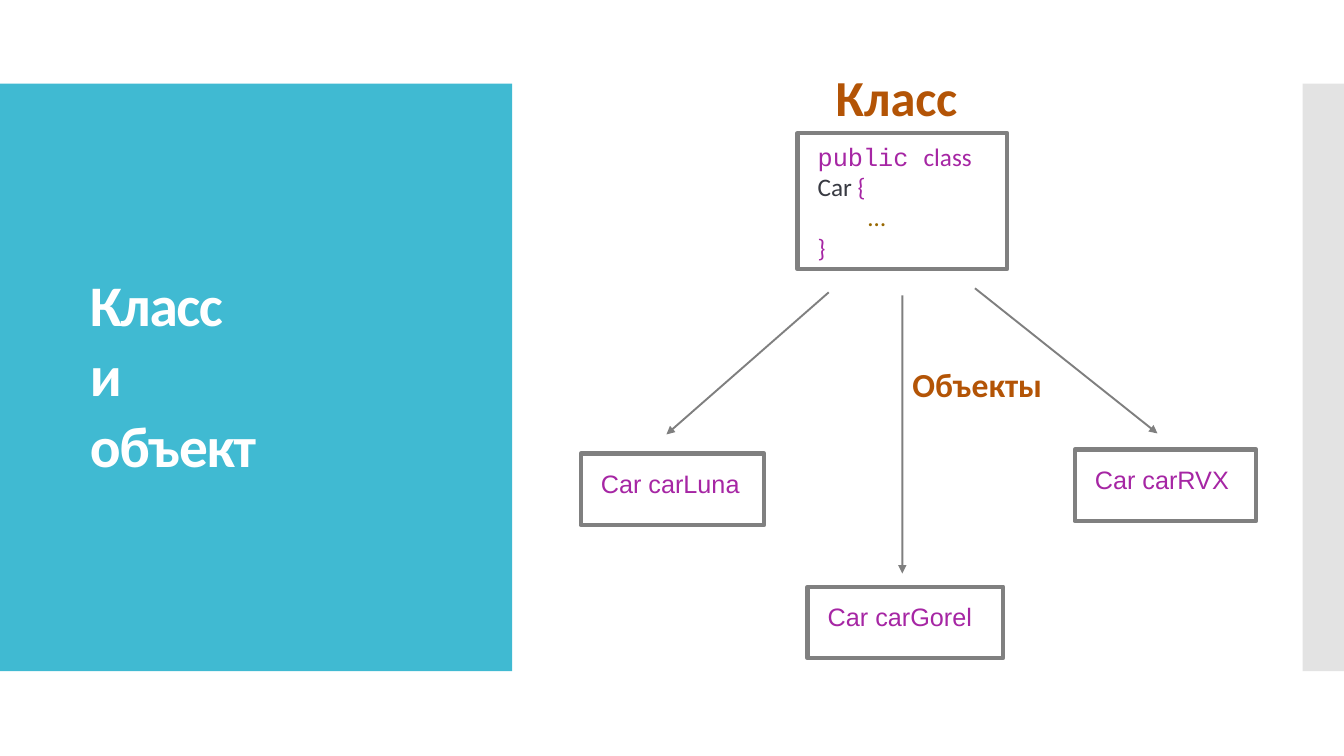
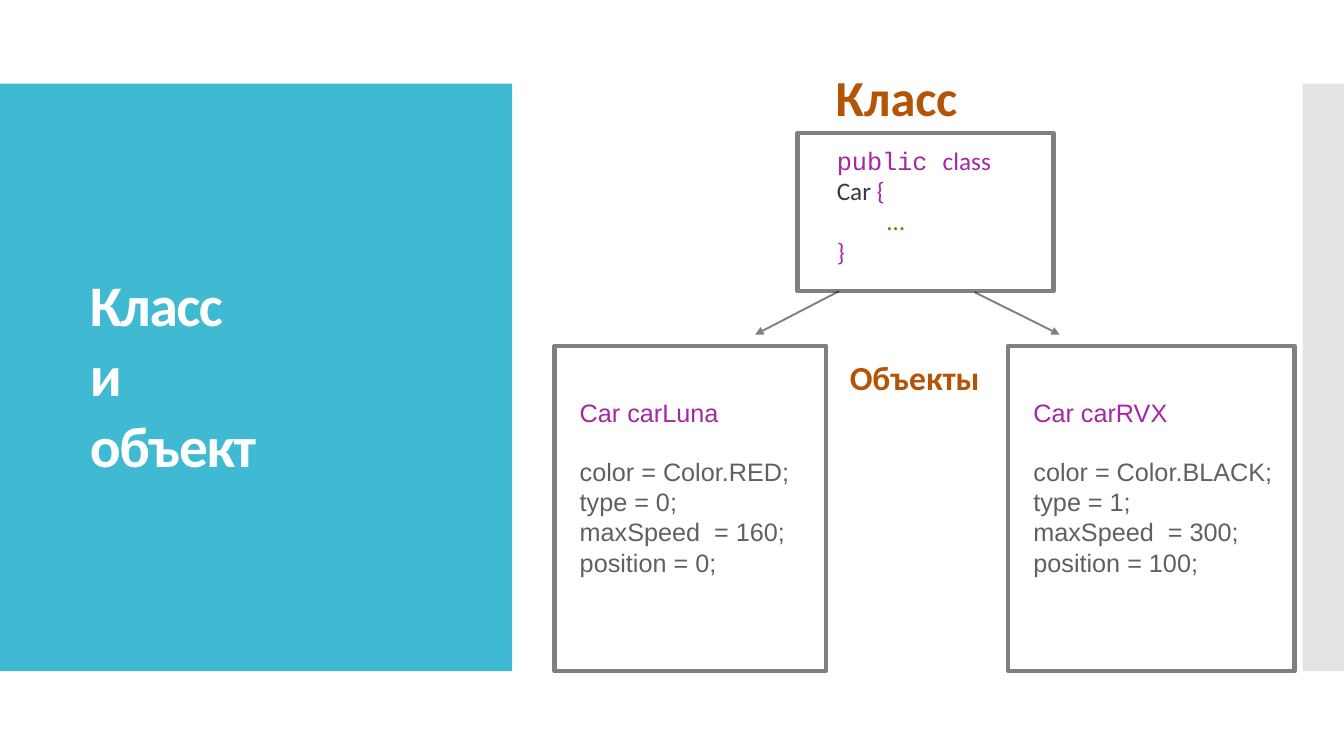
import pptx
import pptx.util
import pptx.dml.color
import pptx.enum.shapes
import pptx.enum.text
import pptx.oxml
import pptx.oxml.ns

Inches = pptx.util.Inches
Points = pptx.util.Pt
Anchor = pptx.enum.text.MSO_ANCHOR
Align = pptx.enum.text.PP_ALIGN

COLOURS = {
    "teal": "40BAD2",
    "panel": "C8C8C8",
    "white": "FFFFFF",
    "heading": "B35406",
    "frame": "808080",
    "arrow": "000000",
    "keyword": "A626A4",
    "name": "383A42",
    "body": "986801",
    "field": "606060",
}
TITLE_FONT = {"name": "Calibri", "size": Points(41), "bold": True}
CODE_FONT = {"name": "Courier New", "size": Points(18)}
CLASS_FONT = {"name": "Calibri", "size": Points(18)}
OBJECT_FONT = {"name": "Arial", "size": Points(18)}
CLASS_CODE = [
    [("public ", "keyword", CODE_FONT), ("class", "keyword", CLASS_FONT),
     (" Car", "name", CLASS_FONT), (" {", "keyword", CLASS_FONT)],
    [("\t", "name", CLASS_FONT), ("…", "body", CLASS_FONT)],
    [("}", "keyword", CLASS_FONT)],
]
BAND_TOP, BAND_HEIGHT = 0.83, 5.83


def set_format(target, values):
    for name, value in values.items():
        setattr(target, name, value)


def rgb(colour):
    return pptx.dml.color.RGBColor.from_string(COLOURS[colour])


def make_half_transparent(element):
    for colour in element.iter(pptx.oxml.ns.qn("a:srgbClr")):
        colour.append(pptx.oxml.parse_xml(
            f'<a:alpha {pptx.oxml.ns.nsdecls("a")} val="50000"/>'))


def write_lines(text_frame, lines, para_format):
    for index, line in enumerate(lines):
        para = text_frame.paragraphs[0] if index == 0 else text_frame.add_paragraph()
        set_format(para, para_format)
        for text, colour, font in line:
            span = para.add_run()
            span.text = text
            set_format(span.font, font)
            span.font.color.rgb = rgb(colour)


def add_rectangle(page, box, fill=None):
    shape = page.shapes.add_shape(
        pptx.enum.shapes.MSO_SHAPE.RECTANGLE, *map(Inches, box))
    shape.shadow.inherit = False
    if fill:
        shape.fill.solid()
        shape.fill.fore_color.rgb = rgb(fill)
        shape.line.fill.background()
    else:
        shape.fill.background()
        shape.line.color.rgb = rgb("frame")
        shape.line.width = Points(3)
    return shape


def add_framed_text(page, box, lines, left, top, right):
    frame = add_rectangle(page, box)
    set_format(frame.text_frame, {
        "word_wrap": True,
        "vertical_anchor": Anchor.TOP,
        "margin_left": Inches(left),
        "margin_top": Inches(top),
        "margin_right": Inches(right),
        "margin_bottom": 0,
    })
    write_lines(frame.text_frame, lines, {"alignment": Align.LEFT})
    return frame


def add_object(page, box, name, fields=(), left=0.2, top=0.15, right=0.05):
    lines = [[(name, "keyword", OBJECT_FONT)]]
    lines += [[(field, "field", OBJECT_FONT)] for field in fields]
    frame = add_framed_text(page, box, lines, left, top, right)
    if fields:
        frame.text_frame.paragraphs[0].space_after = Points(20.7)


def add_label(page, box, text, size):
    label = page.shapes.add_textbox(*map(Inches, box))
    label.text_frame.word_wrap = True
    font = {"name": "Calibri", "size": Points(size), "bold": True}
    write_lines(label.text_frame, [[(text, "heading", font)]], {})


def add_arrow(page, start, end):
    arrow = page.shapes.add_connector(
        pptx.enum.shapes.MSO_CONNECTOR.STRAIGHT, *map(Inches, start + end))
    arrow.line.color.rgb = rgb("arrow")
    arrow.line.width = Points(1.35)
    namespace = pptx.oxml.ns.nsdecls("a")
    outline = arrow.line._get_or_add_ln()
    make_half_transparent(outline)
    outline.append(pptx.oxml.parse_xml(f'<a:tailEnd {namespace} type="triangle"/>'))
    outline.addnext(pptx.oxml.parse_xml(f'<a:effectLst {namespace}/>'))


def add_page(deck):
    page = deck.slides.add_slide(deck.slide_layouts[5])
    title = page.shapes.title
    title_band = add_rectangle(page, (0, BAND_TOP, 5.08, BAND_HEIGHT), "teal")
    edge_band = add_rectangle(page, (12.92, BAND_TOP, 0.41, BAND_HEIGHT), "panel")
    make_half_transparent(edge_band.element)
    for band in (title_band, edge_band):
        title.element.addprevious(band.element)
    set_format(title, {"left": Inches(0.79), "top": Inches(1.25),
                       "width": Inches(3.56), "height": Inches(3.56)})
    set_format(title.text_frame, {
        "vertical_anchor": Anchor.BOTTOM,
        "auto_size": pptx.enum.text.MSO_AUTO_SIZE.NONE,
        "word_wrap": True,
    })
    write_lines(
        title.text_frame,
        [[(word, "white", TITLE_FONT)] for word in ("Класс", "и", "объект")],
        {"alignment": Align.LEFT, "line_spacing": 0.9, "space_after": Points(6)})
    for properties in title.element.iter(pptx.oxml.ns.qn("a:rPr")):
        properties.set("spc", "-100")
    add_label(page, (8.19, 0.61, 1.49, 0.71), "Класс", 36)
    return page


def add_instances_page(deck):
    page = add_page(deck)
    add_framed_text(page, (7.91, 1.32, 2.08, 1.35), CLASS_CODE, 0.2, 0.08, 0.25)
    add_label(page, (8.95, 3.56, 1.54, 0.5), "Объекты", 24)
    for box, name in (
        ((5.76, 4.5, 1.82, 0.71), "Car carLuna"),
        ((8.01, 5.82, 1.94, 0.71), "Car carGorel"),
        ((10.66, 4.46, 1.8, 0.71), "Car carRVX"),
    ):
        add_object(page, box, name)
    for start, end in (
        ((8.22, 2.9), (6.61, 4.31)),
        ((8.95, 2.93), (8.95, 5.69)),
        ((9.67, 2.86), (11.48, 4.3)),
    ):
        add_arrow(page, start, end)


def add_fields_page(deck):
    page = add_page(deck)
    add_framed_text(page, (7.91, 1.32, 2.54, 1.57), CLASS_CODE, 0.39, 0.12, 0.52)
    add_label(page, (8.33, 3.49, 1.54, 0.5), "Объекты", 24)
    for left, width, name, values in (
        (5.5, 2.69, "Car carLuna", ("Color.RED", 0, 160, 0)),
        (10, 2.84, "Car carRVX", ("Color.BLACK", 1, 300, 100)),
    ):
        fields = [f"{field} = {value};" for field, value in
                  zip(("color", "type", "maxSpeed ", "position"), values)]
        add_object(page, (left, 3.43, width, 3.23), name, fields, 0.25, 0.51, 0.1)
    add_arrow(page, (8.32, 2.89), (7.49, 3.32))
    add_arrow(page, (9.67, 2.9), (10.51, 3.32))


def main():
    deck = pptx.Presentation()
    set_format(deck, {"slide_width": Inches(13.33), "slide_height": Inches(7.5)})
    add_instances_page(deck)
    add_fields_page(deck)
    deck.save("out.pptx")


if __name__ == "__main__":
    main()
